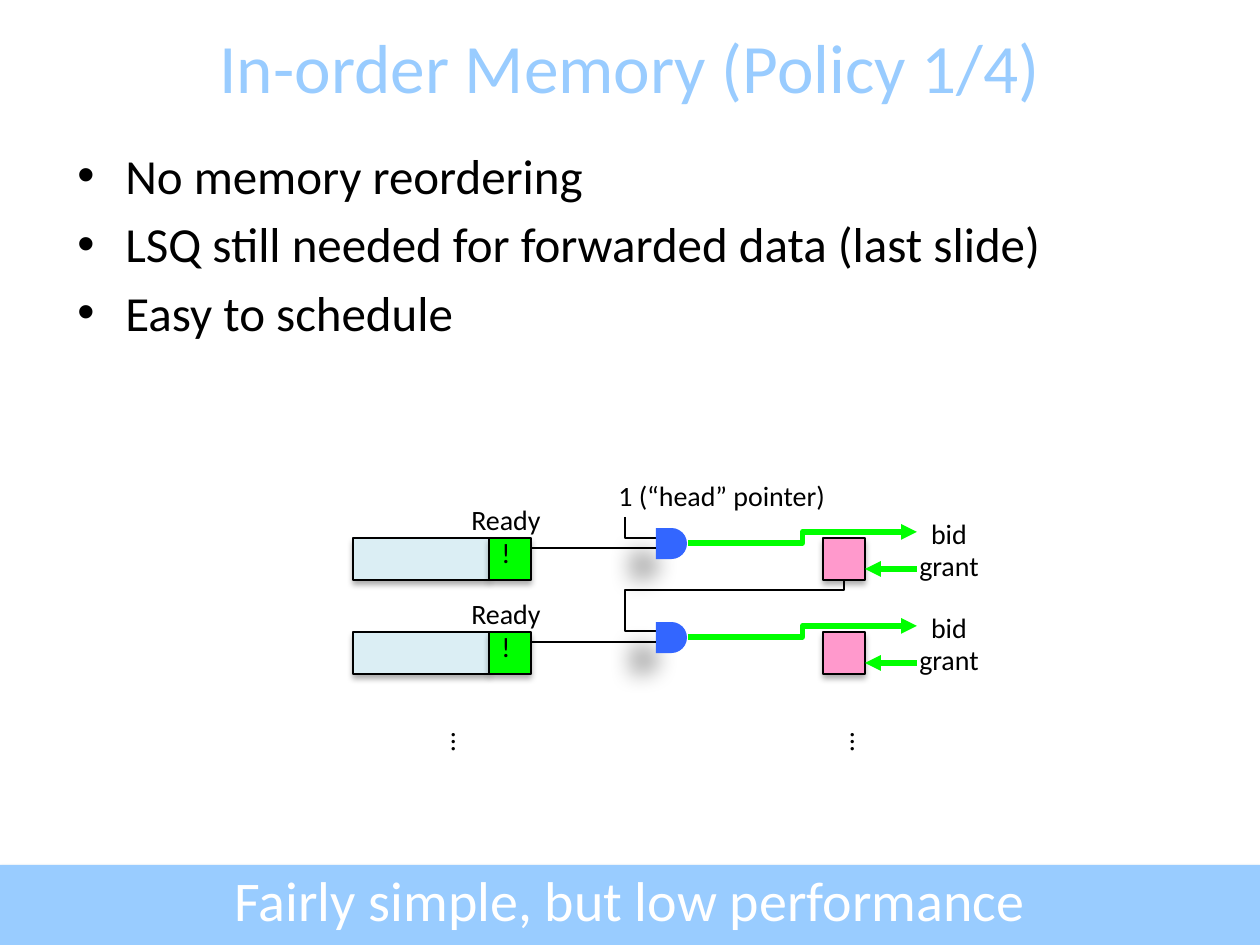
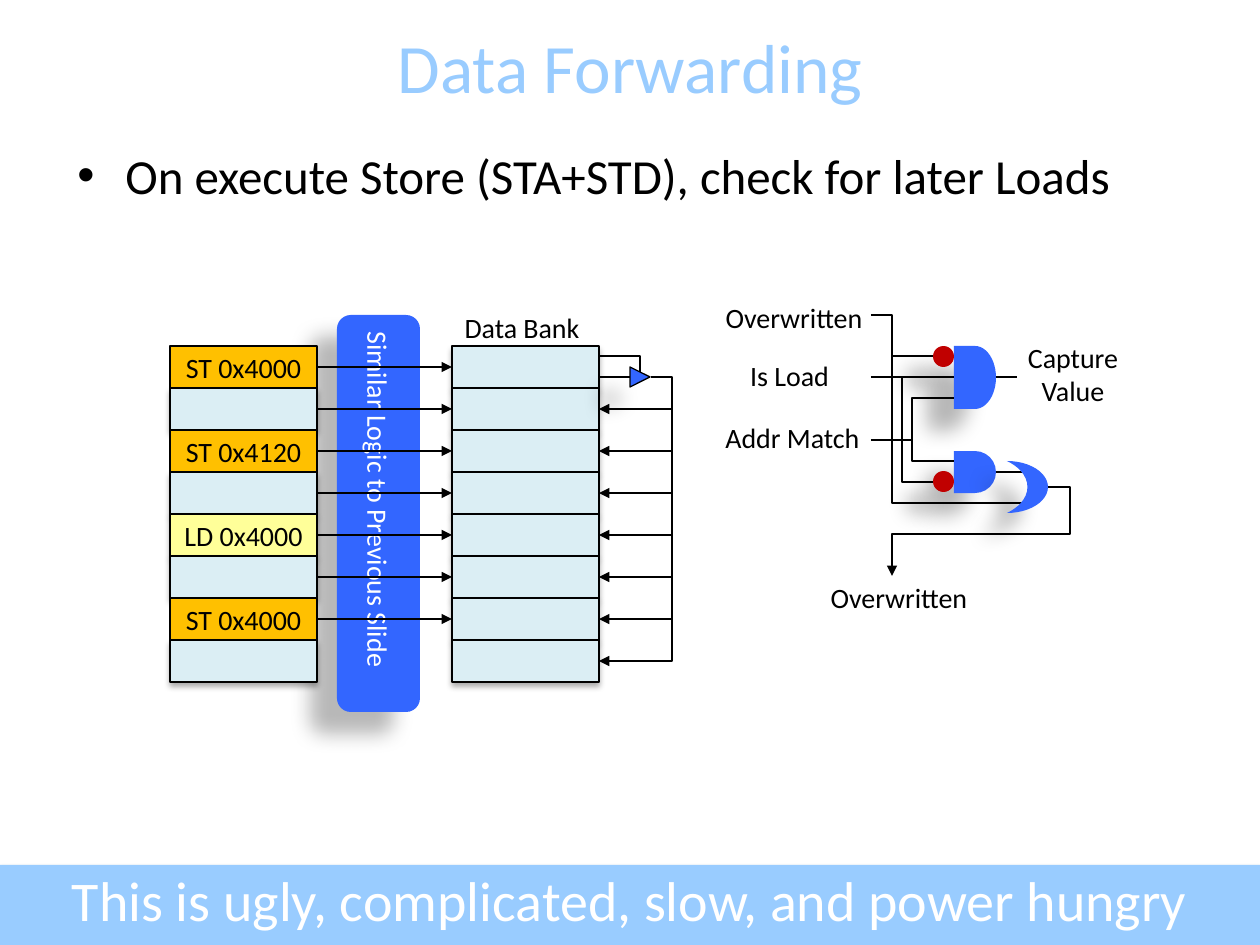
from lxml import etree
from pptx import Presentation
from pptx.dml.color import RGBColor
from pptx.enum.shapes import MSO_CONNECTOR as CONNECTOR, MSO_SHAPE as SHAPE
from pptx.enum.text import MSO_ANCHOR as ANCHOR, MSO_AUTO_SIZE as AUTO_SIZE, PP_ALIGN as ALIGN
from pptx.oxml.ns import qn
from pptx.util import Emu, Pt

PX = 914400 / 126
FONT = "Calibri"
COLORS = {
    "black": "000000", "white": "FFFFFF", "sky": "99CCFF", "pale": "DBEEF4",
    "green": "00FF00", "pink": "FF99CC", "blue": "3366FF", "orange": "FFC000",
    "yellow": "FFFF99", "red": "C00000",
}
# Shadows: opacity %, blur pt, distance pt, angle in degrees
BAND_SHADOW = (35, 3.1, 1.8, 90)
CELL_SHADOW = (32, 3.5, 2.2, 90)
GATE_SHADOW = (28, 11.8, 19.7, 141)


def add_box(slide, bounds, lines=(), kind=None, fill=None, outline=True, shadow=None,
            size=16, color="black", align=ALIGN.CENTER, wrap=False, vertical=False):
    """Add a filled shape, or a text box when no kind is given."""
    bounds = [Emu(round(value * PX)) for value in bounds]
    if kind is None:
        shape = slide.shapes.add_textbox(*bounds)
    else:
        shape = slide.shapes.add_shape(kind, *bounds)
        shape.fill.solid()
        shape.fill.fore_color.rgb = RGBColor.from_string(COLORS[fill])
        if outline:
            shape.line.color.rgb = RGBColor.from_string(COLORS["black"])
            shape.line.width = Pt(0.75)
        else:
            shape.line.fill.background()
        shape.shadow.inherit = False
        if shadow:
            opacity, blur, distance, angle = shadow
            effects = shape._element.spPr.find(qn("a:effectLst"))
            outer = etree.SubElement(
                effects, qn("a:outerShdw"), blurRad=str(Pt(blur)), dist=str(Pt(distance)),
                dir=str(angle * 60000), rotWithShape="0")
            shade = etree.SubElement(outer, qn("a:srgbClr"), val=COLORS["black"])
            etree.SubElement(shade, qn("a:alpha"), val=str(opacity * 1000))

    frame = shape.text_frame
    frame.word_wrap = wrap
    if kind is None and not wrap:
        frame.auto_size = AUTO_SIZE.SHAPE_TO_FIT_TEXT
    frame.vertical_anchor = ANCHOR.TOP if kind is None else ANCHOR.MIDDLE
    if vertical:
        frame._txBody.bodyPr.set("vert", "eaVert")
    for index, line in enumerate(lines):
        paragraph = frame.add_paragraph() if index else frame.paragraphs[0]
        paragraph.alignment = align
        run = paragraph.add_run()
        run.text = line
        run.font.name = FONT
        run.font.size = Pt(size)
        run.font.color.rgb = RGBColor.from_string(COLORS[color])
    return shape


def add_wire(slide, points, color="black", weight=0.75, arrow=False, kind=CONNECTOR.STRAIGHT):
    """Join two points with a connector, or more points with an open outline."""
    points = [(Emu(round(x * PX)), Emu(round(y * PX))) for x, y in points]
    if len(points) == 2:
        wire = slide.shapes.add_connector(kind, *points[0], *points[1])
    else:
        builder = slide.shapes.build_freeform(*points[0])
        builder.add_line_segments(points[1:], close=False)
        wire = builder.convert_to_shape()
        wire.fill.background()
    wire.line.color.rgb = RGBColor.from_string(COLORS[color])
    wire.line.width = Pt(weight)
    if arrow:
        etree.SubElement(wire.line._get_or_add_ln(), qn("a:tailEnd"), type="triangle")
    etree.SubElement(wire._element.spPr, qn("a:effectLst"))


presentation = Presentation()
presentation.slide_width = Emu(round(1260 * PX))
presentation.slide_height = Emu(round(945 * PX))

# Shared frame: band, title, bullets and closing line
pages = [
    ("In-order Memory (Policy 1/4)",
     ["No memory reordering", "LSQ still needed for forwarded data (last slide)",
      "Easy to schedule"],
     "Fairly simple, but low performance"),
    ("Data Forwarding",
     ["On execute Store (STA+STD), check for later Loads"],
     "This is ugly, complicated, slow, and power hungry"),
]
slides = []
for title, bullets, conclusion in pages:
    slide = presentation.slides.add_slide(presentation.slide_layouts[6])
    slides.append(slide)
    add_box(slide, (0, 865, 1260, 80), kind=SHAPE.RECTANGLE, fill="sky", outline=False,
            shadow=BAND_SHADOW)
    heading = add_box(slide, (0, 26, 1260, 79), [title], size=39.6, color="sky", wrap=True)
    heading.text_frame.vertical_anchor = ANCHOR.MIDDLE
    body = add_box(slide, (65, 139, 1134, 700), bullets, size=28, align=ALIGN.LEFT, wrap=True)
    for index, paragraph in enumerate(body.text_frame.paragraphs):
        properties = paragraph._p.get_or_add_pPr()
        properties.set("marL", str(round(48 * PX)))
        properties.set("indent", str(round(-48 * PX)))
        etree.SubElement(properties, qn("a:buFont"), typeface="Arial")
        etree.SubElement(properties, qn("a:buChar"), char="•")
        if index:
            paragraph.space_before = Pt(5.6)
    add_box(slide, (0, 859, 1260, 79), [conclusion], size=32, color="white", wrap=True)

memory_slide, forwarding_slide = slides

# Slide 1: queue entries with ready bit, gate, bid and grant
add_box(memory_slide, (606, 472, 237, 47), ["1 (“head” pointer)"], align=ALIGN.LEFT)
add_wire(memory_slide, [(625, 517), (625, 538), (656, 538)])
add_wire(memory_slide, [(844, 580), (844, 590), (625, 590), (625, 631), (656, 631)])
for top in (538, 632):
    for left, width, fill in ((353, 136, "pale"), (489, 42, "green"), (823, 42, "pink")):
        add_box(memory_slide, (left, top, width, 42), kind=SHAPE.RECTANGLE, fill=fill,
                shadow=CELL_SHADOW)
    add_box(memory_slide, (656, top - 10, 31, 31), kind=SHAPE.FLOWCHART_DELAY, fill="blue",
            outline=False, shadow=GATE_SHADOW)
    add_wire(memory_slide, [(531, top + 10), (656, top + 10)])
    add_wire(memory_slide, [(688, top + 5), (917, top - 6)], "green", 3, True, CONNECTOR.ELBOW)
    add_wire(memory_slide, [(917, top + 31), (865, top + 31)], "green", 3, True)
    add_box(memory_slide, (455, top - 42, 102, 81), ["Ready", "!"])
    for offset, signal in ((-28, "bid"), (4, "grant")):
        add_box(memory_slide, (894, top + offset, 110, 47), [signal])
for left in (427, 826):
    add_box(memory_slide, (left, 720, 59, 42), ["…"], vertical=True)

# Slide 2: store queue, matching logic and data bank
ROW = 42
QUEUE_TOP = 346
add_box(forwarding_slide, (337, 315, 83, 397), ["Similar Logic to Previous Slide"],
        kind=SHAPE.ROUNDED_RECTANGLE, fill="blue", outline=False, shadow=GATE_SHADOW,
        color="white", vertical=True)
add_box(forwarding_slide, (450, 304, 144, 47), ["Data Bank"])
queue = ["ST 0x4000", "", "ST 0x4120", "", "LD 0x4000", "", "ST 0x4000", ""]
queue_fills = {"ST": "orange", "LD": "yellow", "": "pale"}
for row, entry in enumerate(queue):
    top = QUEUE_TOP + row * ROW
    fill = queue_fills[entry[:2]]
    add_box(forwarding_slide, (170, top, 147, ROW), [entry] if entry else [],
            kind=SHAPE.RECTANGLE, fill=fill,
            shadow=None if fill == "orange" else CELL_SHADOW)
    add_box(forwarding_slide, (452, top, 147, ROW), kind=SHAPE.RECTANGLE, fill="pale",
            shadow=CELL_SHADOW)

# Arrows into the bank, and the forwarding bus back to later rows
for row in range(len(queue) - 1):
    middle = QUEUE_TOP + row * ROW + ROW // 2
    add_wire(forwarding_slide, [(317, middle), (452, middle)], arrow=True)
    bus_start = [(672, middle)] if row else [(651, 377), (672, 377)]
    add_wire(forwarding_slide, bus_start + [(672, middle + ROW), (599, middle + ROW)],
             arrow=True)
buffer_gate = add_box(forwarding_slide, (630, 367, 20, 20), kind=SHAPE.ISOSCELES_TRIANGLE,
                      fill="blue", shadow=GATE_SHADOW)
buffer_gate.rotation = 90
add_wire(forwarding_slide, [(599, 356), (640, 356), (640, 372)])
add_wire(forwarding_slide, [(599, 377), (630, 377)])

# Capture logic: gates, inverter bubbles, wires and labels
gates = [
    ((954, 346, 42, 63), SHAPE.FLOWCHART_DELAY, "blue"),
    ((954, 451, 42, 42), SHAPE.FLOWCHART_DELAY, "blue"),
    ((933, 346, 21, 21), SHAPE.OVAL, "red"),
    ((933, 471, 21, 21), SHAPE.OVAL, "red"),
]
for bounds, kind, fill in gates:
    add_box(forwarding_slide, bounds, kind=kind, fill=fill, outline=False, shadow=GATE_SHADOW)

logic_wires = [
    [(996, 377), (1017, 377)],
    [(871, 377), (954, 377)],
    [(871, 440), (912, 440), (912, 398), (954, 398)],
    [(912, 440), (912, 461), (954, 461)],
    [(902, 377), (902, 482), (933, 482)],
    [(871, 315), (892, 315), (892, 503), (1027, 503)],
    [(892, 356), (933, 356)],
    [(996, 472), (1027, 472)],
]
for points in logic_wires:
    add_wire(forwarding_slide, points)
or_gate = add_box(forwarding_slide, (1007, 461, 41, 52), kind=SHAPE.MOON, fill="blue",
                  outline=False, shadow=GATE_SHADOW)
or_gate.rotation = 180
add_wire(forwarding_slide, [(1048, 487), (1070, 487), (1070, 534), (892, 534), (892, 576)],
         arrow=True)

labels = [
    ((709, 294, 170, 47), ["Overwritten"]),
    ((736, 352, 107, 47), ["Is Load"]),
    ((711, 414, 163, 47), ["Addr Match"]),
    ((1013, 334, 120, 81), ["Capture", "Value"]),
    ((814, 574, 170, 47), ["Overwritten"]),
]
for bounds, lines in labels:
    add_box(forwarding_slide, bounds, lines)

presentation.save("out.pptx")
